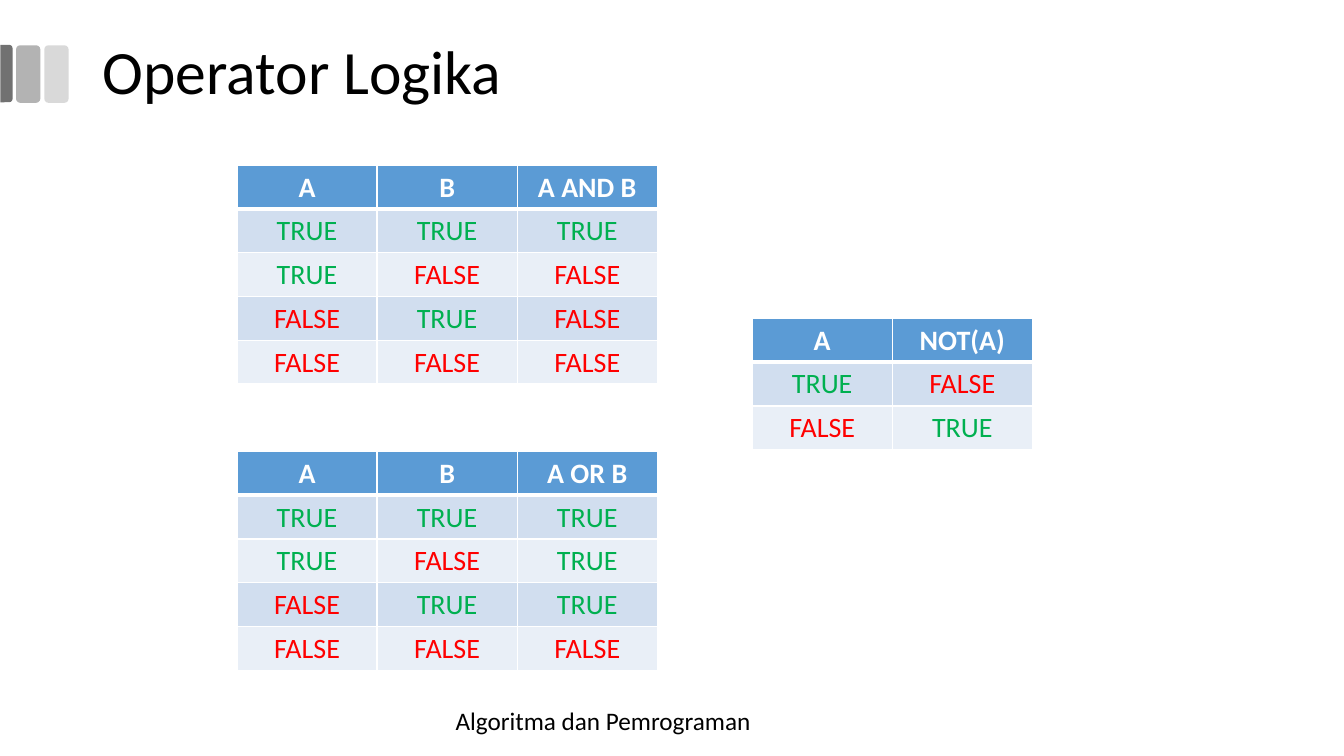
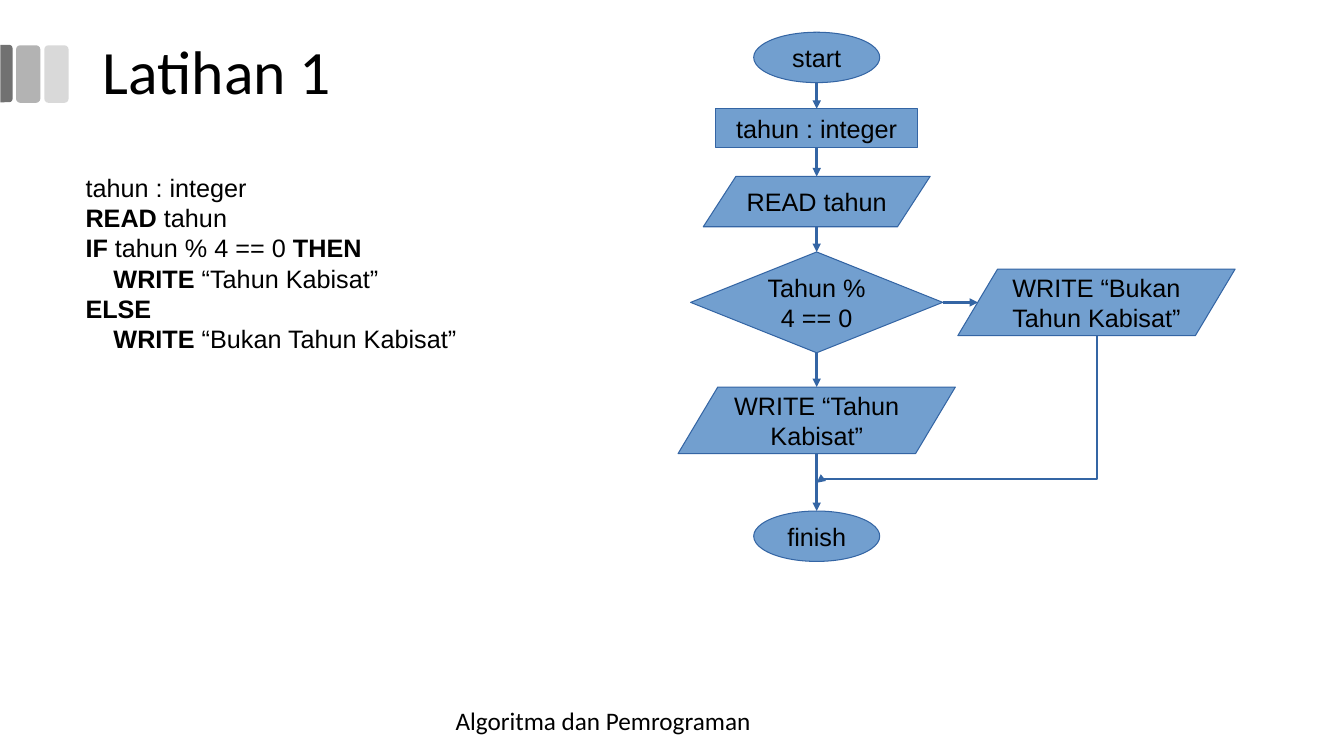
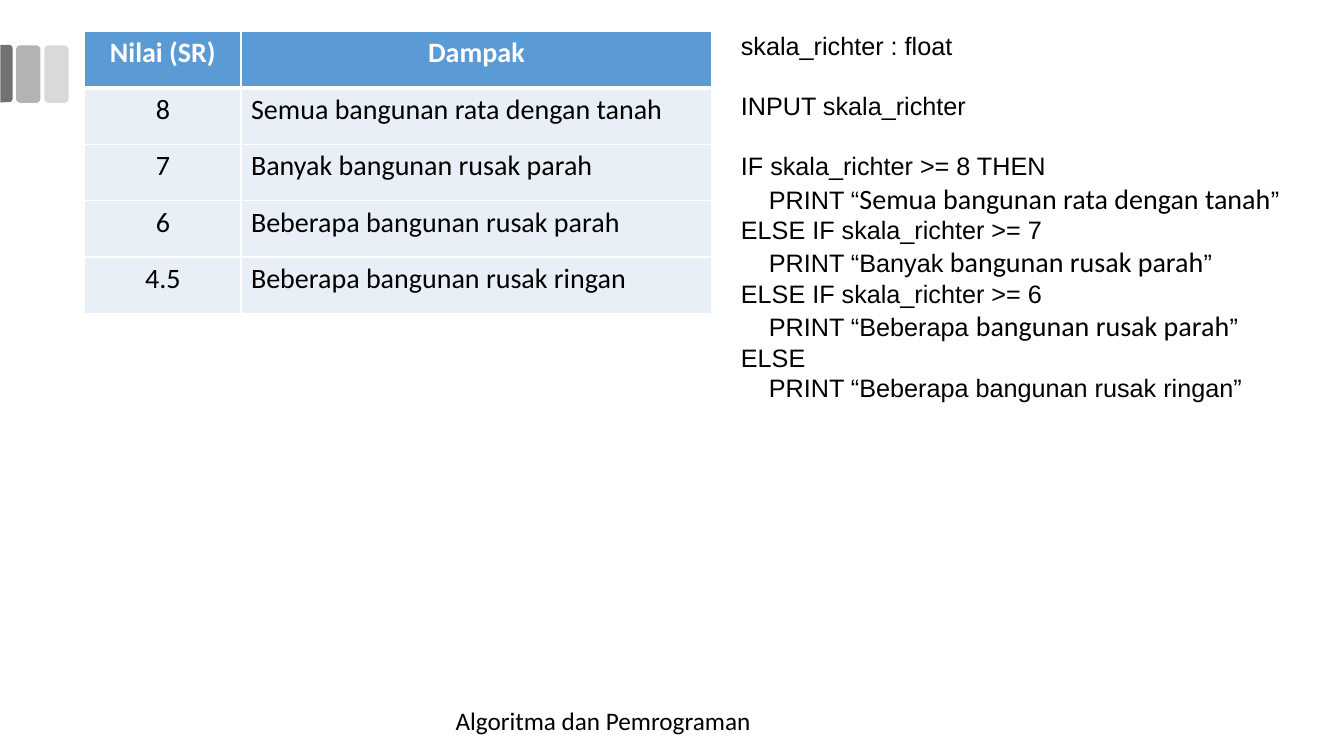
from lxml import etree
from pptx import Presentation
from pptx.dml.color import RGBColor
from pptx.enum import shapes, text
from pptx.oxml import ns
from pptx.util import Inches, Pt

BLACK = RGBColor(0x00, 0x00, 0x00)
WHITE = RGBColor(0xFF, 0xFF, 0xFF)
GREEN = RGBColor(0x00, 0xB0, 0x50)
RED = RGBColor(0xFF, 0x00, 0x00)
HEADER = RGBColor(0x5B, 0x9B, 0xD5)
BAND_DARK = RGBColor(0xD1, 0xDE, 0xEF)
BAND_LIGHT = RGBColor(0xE9, 0xEF, 0xF7)
NODE_FILL = RGBColor(0x72, 0x9F, 0xCF)
NODE_LINE = RGBColor(0x34, 0x65, 0xA4)
BAR_LIGHT = RGBColor(0xD9, 0xD9, 0xD9)
BAR_MID = RGBColor(0xB3, 0xB3, 0xB3)
BAR_DARK = RGBColor(0x71, 0x71, 0x71)

HEAD_FONT, CODE_FONT = "Calibri", "Arial"
SHAPE = shapes.MSO_SHAPE
CENTER = text.PP_ALIGN.CENTER
MIDDLE = text.MSO_ANCHOR.MIDDLE
CODE_LINE = Pt(21.5)
TRUTH_COL, TRUTH_ROW = 1.39, 0.43
FLOW_X = 8.1


# Text
def style(r, size, font, color=BLACK, bold=False):
    r.font.size = Pt(size)
    r.font.name = font
    r.font.color.rgb = color
    r.font.bold = bold


def add_text(slide, box, content, size, font):
    tf = slide.shapes.add_textbox(*map(Inches, box)).text_frame
    tf.word_wrap = True
    tf.text = content
    style(tf.paragraphs[0].runs[0], size, font)
    return tf


def add_code(slide, box, lines, gaps=()):
    """Each line is a list of (text, format); gaps are lines set one line lower."""
    tf = slide.shapes.add_textbox(*map(Inches, box)).text_frame
    tf.word_wrap = True
    for i, line in enumerate(lines):
        p = tf.paragraphs[0] if i == 0 else tf.add_paragraph()
        if i in gaps:
            p.space_before = CODE_LINE
        for content, fmt in line:
            r = p.add_run()
            r.text = content
            if fmt == "quote":
                style(r, 20, HEAD_FONT)
            else:
                style(r, 18, CODE_FONT, bold=fmt == "bold")


# Shapes
def add_shape(slide, kind, box, fill, adj=()):
    sp = slide.shapes.add_shape(kind, *map(Inches, box))
    sp.shadow.inherit = False
    sp.fill.solid()
    sp.fill.fore_color.rgb = fill
    sp.line.fill.background()
    for i, value in enumerate(adj):
        sp.adjustments[i] = value
    return sp


def add_node(slide, content, kind, box, adj=()):
    sp = add_shape(slide, kind, box, NODE_FILL, adj)
    sp.line.color.rgb = NODE_LINE
    sp.line.width = Pt(0)
    tf = sp.text_frame
    tf.word_wrap = True
    tf.vertical_anchor = MIDDLE
    tf.text = content
    p = tf.paragraphs[0]
    p.alignment = CENTER
    style(p.runs[0], 18, CODE_FONT)
    return sp


def add_arrow(slide, start, end, kind=shapes.MSO_CONNECTOR.STRAIGHT):
    c = slide.shapes.add_connector(kind, *map(Inches, (*start, *end)))
    c.line.color.rgb = NODE_LINE
    c.line.width = Pt(0)
    etree.SubElement(c.line._get_or_add_ln(), ns.qn("a:tailEnd"), type="triangle")
    etree.SubElement(c._element.spPr, ns.qn("a:effectLst"))
    return c


# Tables
def add_border(cell, side, width):
    tcPr = cell._tc.get_or_add_tcPr()
    ln = etree.SubElement(tcPr, ns.qn("a:ln" + side), w=str(Pt(width)))
    fill = etree.SubElement(ln, ns.qn("a:solidFill"))
    etree.SubElement(fill, ns.qn("a:srgbClr"), val=str(WHITE))


def add_table(slide, left, top, widths, row_height, rows, bands, centered):
    frame = slide.shapes.add_table(
        len(rows), len(widths), Inches(left), Inches(top),
        Inches(sum(widths)), Inches(row_height * len(rows)))
    table = frame.table
    for col, width in zip(table.columns, widths):
        col.width = Inches(width)
    for i, row in enumerate(rows):
        table.rows[i].height = Inches(row_height)
        for j, value in enumerate(row):
            cell = table.cell(i, j)
            for side in "LRTB":
                thick = (i, side) in ((0, "B"), (1, "T"))
                add_border(cell, side, 3 if thick else 0.96)
            cell.fill.solid()
            cell.fill.fore_color.rgb = bands[(i - 1) % len(bands)] if i else HEADER
            cell.text = value
            p = cell.text_frame.paragraphs[0]
            if i == 0 or j in centered:
                p.alignment = CENTER
            color = {"TRUE": GREEN, "FALSE": RED}.get(value, BLACK) if i else WHITE
            style(p.runs[0], 20, HEAD_FONT, color, bold=i == 0)


def add_truth_table(slide, left, top, head, rows):
    values = [["TRUE" if v else "FALSE" for v in row] for row in rows]
    add_table(slide, left, top, [TRUTH_COL] * len(head), TRUTH_ROW,
              [head] + values, (BAND_DARK, BAND_LIGHT), range(len(head)))


# Shared slide frame
def new_slide(prs, title=None):
    slide = prs.slides.add_slide(prs.slide_layouts[6])
    for left, color in ((0.44, BAR_LIGHT), (0.16, BAR_MID)):
        add_shape(slide, SHAPE.ROUNDED_RECTANGLE, (left, 0.45, 0.24, 0.57), color, (0.167,))
    bar = add_shape(slide, SHAPE.ROUND_2_SAME_RECTANGLE, (-0.22, 0.67, 0.57, 0.12),
                    BAR_DARK, (0.292, 0))
    bar.rotation = 90
    if title:
        tf = add_text(slide, (0.92, 0.01, 11.5, 1.45), title, 44, HEAD_FONT)
        tf.vertical_anchor = MIDDLE
        tf.paragraphs[0].line_spacing = 0.9
    add_text(slide, (4.42, 6.95, 4.5, 0.4), "Algoritma dan Pemrograman", 18, HEAD_FONT)
    return slide


# Slides
def logic_slide(prs):
    slide = new_slide(prs, "Operator Logika")
    pairs = [(a, b) for a in (True, False) for b in (True, False)]
    add_truth_table(slide, 2.35, 1.64, ["A", "B", "A AND B"],
                    [(a, b, a and b) for a, b in pairs])
    add_truth_table(slide, 2.35, 4.48, ["A", "B", "A OR B"],
                    [(a, b, a or b) for a, b in pairs])
    add_truth_table(slide, 7.46, 3.16, ["A", "NOT(A)"],
                    [(a, not a) for a in (True, False)])


def add_flowchart(slide):
    # Main column: text, shape, top, width, height, adjustments
    steps = [
        ("start", SHAPE.OVAL, 0.32, 1.25, 0.5, ()),
        ("tahun : integer", SHAPE.RECTANGLE, 1.08, 2, 0.38, ()),
        ("READ tahun", SHAPE.PARALLELOGRAM, 1.75, 2.25, 0.5, (0.648,)),
        ("Tahun % 4 == 0", SHAPE.DIAMOND, 2.5, 2.5, 1, ()),
        ("WRITE “Tahun Kabisat”", SHAPE.PARALLELOGRAM, 3.84, 2.75, 0.66, (0.597,)),
        ("finish", SHAPE.OVAL, 5.07, 1.25, 0.5, ()),
    ]
    nodes = [add_node(slide, label, kind, (FLOW_X - w / 2, top, w, h), adj)
             for label, kind, top, w, h, adj in steps]
    add_node(slide, "WRITE “Bukan Tahun Kabisat”", SHAPE.PARALLELOGRAM,
             (9.5, 2.67, 2.75, 0.66), (0.597,))

    # Arrows down the column
    four_sided = (SHAPE.RECTANGLE, SHAPE.DIAMOND)
    for i in range(len(steps) - 1):
        bottom = steps[i][2] + steps[i][4]
        c = add_arrow(slide, (FLOW_X, bottom), (FLOW_X, steps[i + 1][2]))
        if steps[i][1] in four_sided:
            c.begin_connect(nodes[i], 2)
        if steps[i + 1][1] in four_sided:
            c.end_connect(nodes[i + 1], 0)

    # Side branch and its way back
    branch = add_arrow(slide, (9.35, 3), (9.7, 3))
    branch.begin_connect(nodes[3], 3)
    start, end = (10.88, 3.33), (FLOW_X, 4.79)
    back = add_arrow(slide, start, end, shapes.MSO_CONNECTOR.ELBOW)
    across, down = start[0] - end[0], end[1] - start[1]
    back.left = Inches((start[0] + end[0] - down) / 2)
    back.top = Inches((start[1] + end[1] - across) / 2)
    back.width, back.height = Inches(down), Inches(across)
    xfrm = back._element.spPr.find(ns.qn("a:xfrm"))
    xfrm.attrib.pop("flipH", None)
    xfrm.set("rot", str(90 * 60000))
    guides = back._element.spPr.find(ns.qn("a:prstGeom")).get_or_add_avLst()
    etree.SubElement(guides, ns.qn("a:gd"), name="adj1", fmla="val 97500")


def exercise_slide(prs):
    slide = new_slide(prs, "Latihan 1")
    add_code(slide, (0.75, 1.66, 5.75, 1.78), [
        [("tahun : integer", "")],
        [("READ ", "bold"), ("tahun", "")],
        [("IF ", "bold"), ("tahun % 4 == 0 ", ""), ("THEN", "bold")],
        [("    WRITE", "bold"), (" “Tahun Kabisat”", "")],
        [("ELSE", "bold")],
        [("    WRITE", "bold"), (" “Bukan Tahun Kabisat”", "")],
    ])
    add_flowchart(slide)


def richter_slide(prs):
    slide = new_slide(prs)
    add_table(slide, 0.84, 0.31, [1.55, 4.67], 0.56, [
        ["Nilai (SR)", "Dampak"],
        ["8", "Semua bangunan rata dengan tanah"],
        ["7", "Banyak bangunan rusak parah"],
        ["6", "Beberapa bangunan rusak parah"],
        ["4.5", "Beberapa bangunan rusak ringan"],
    ], (BAND_LIGHT,), (0,))
    add_code(slide, (7.25, 0.25, 5.75, 5), [
        [("skala_richter : float", "")],
        [("INPUT skala_richter", "")],
        [("IF skala_richter >= 8 THEN", "")],
        [("    PRINT “", ""), ("Semua bangunan rata dengan tanah", "quote"), ("”", "")],
        [("ELSE IF skala_richter >= 7", "")],
        [("    PRINT “Banyak", ""), (" bangunan rusak parah", "quote"), ("”", "")],
        [("ELSE IF skala_richter >= 6", "")],
        [("    PRINT “Beberapa ", ""), ("bangunan rusak parah", "quote"), ("”", "")],
        [("ELSE", "")],
        [("    PRINT “Beberapa bangunan rusak ringan”", "")],
    ], gaps=(1, 2))


def main():
    prs = Presentation()
    prs.slide_width, prs.slide_height = Inches(13.33), Inches(7.5)
    logic_slide(prs)
    exercise_slide(prs)
    richter_slide(prs)
    prs.save("out.pptx")


if __name__ == "__main__":
    main()
